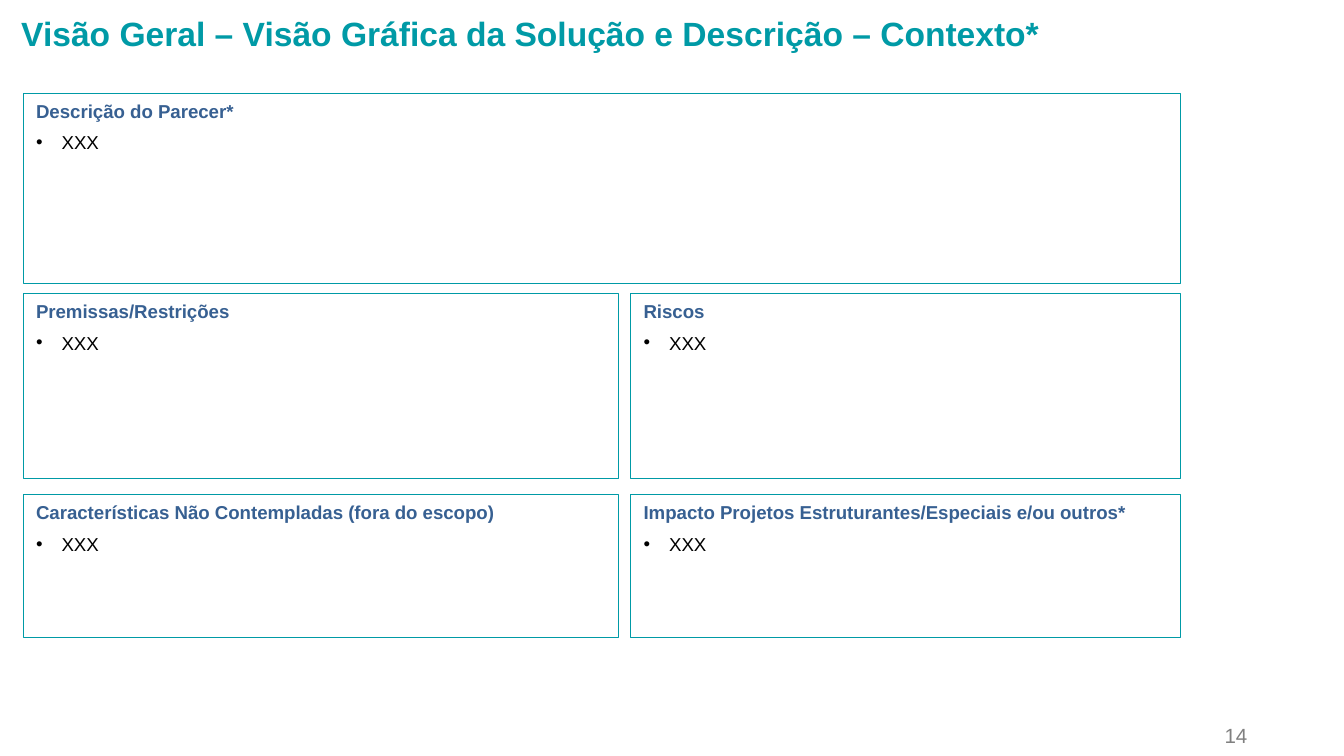
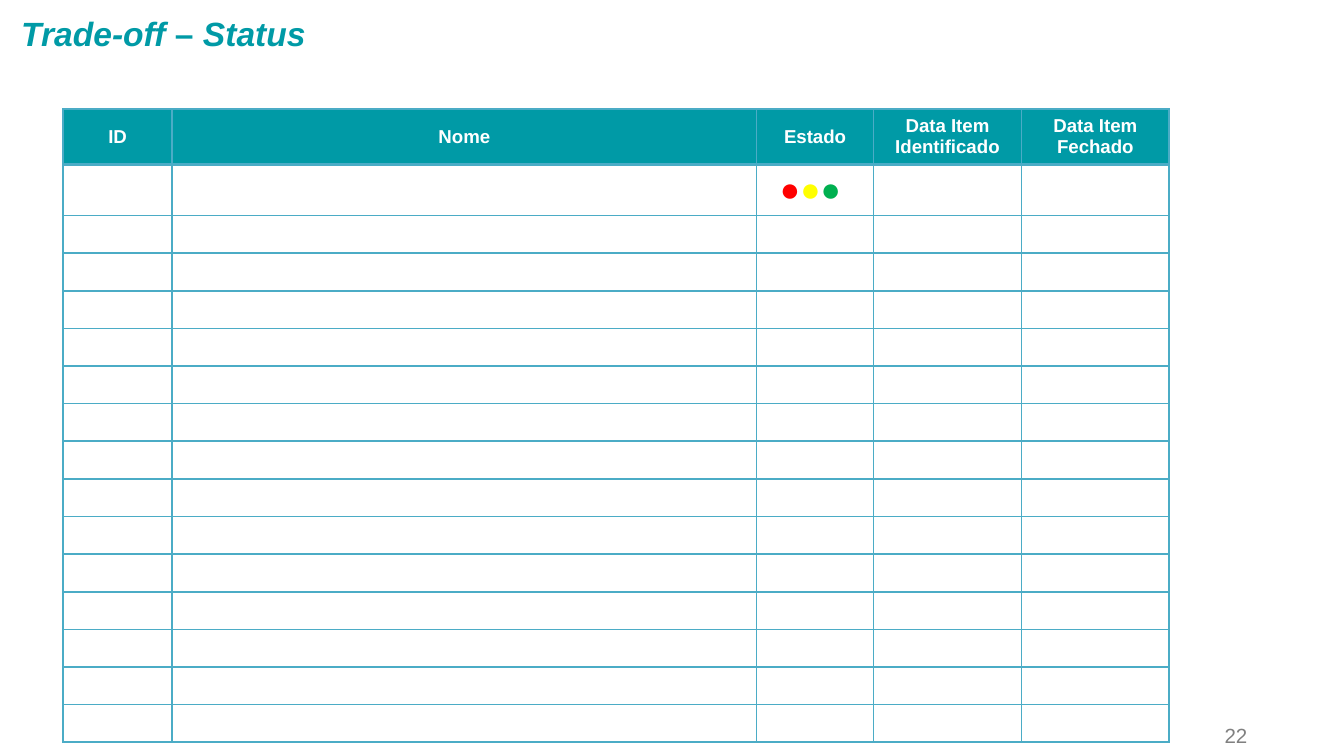
"""Build the context overview slide and the trade-off status slide."""
from dataclasses import dataclass

from lxml import etree
from pptx import Presentation
from pptx.dml.color import RGBColor
from pptx.enum.shapes import MSO_SHAPE
from pptx.enum.text import MSO_ANCHOR, PP_ALIGN
from pptx.oxml.ns import qn
from pptx.util import Inches, Pt

RECTANGLE = MSO_SHAPE.RECTANGLE
TOP, MIDDLE = MSO_ANCHOR.TOP, MSO_ANCHOR.MIDDLE
LEFT, CENTER, RIGHT = PP_ALIGN.LEFT, PP_ALIGN.CENTER, PP_ALIGN.RIGHT

FONT = "Arial"
TEAL, NAVY, GRID = "009AA6", "376092", "4BACC6"
BLACK, WHITE, GREY = "000000", "FFFFFF", "808080"
RED, YELLOW, GREEN = "FF0000", "FFFF00", "00B050"
BODY_SIZE, EMPTY_CELL_SIZE = 10, 12


@dataclass(frozen=True)
class Panel:
    heading: str
    left: float
    top: float
    width: float
    height: float


@dataclass(frozen=True)
class Column:
    heading: str
    width: float


LEFT_X, RIGHT_X = 0.17, 4.69
LEFT_W, RIGHT_W = 4.43, 4.09
MIDDLE_Y, MIDDLE_H = 2.18, 1.38
BOTTOM_Y, BOTTOM_H = 3.68, 1.06

PANELS = [
    Panel("Descrição do Parecer*", LEFT_X, 0.69, RIGHT_X + RIGHT_W - LEFT_X, 1.42),
    Panel("Características Não Contempladas (fora do escopo)",
          LEFT_X, BOTTOM_Y, LEFT_W, BOTTOM_H),
    Panel("Premissas/Restrições", LEFT_X, MIDDLE_Y, LEFT_W, MIDDLE_H),
    Panel("Riscos", RIGHT_X, MIDDLE_Y, RIGHT_W, MIDDLE_H),
    Panel("Impacto Projetos Estruturantes/Especiais e/ou outros*",
          RIGHT_X, BOTTOM_Y, RIGHT_W, BOTTOM_H),
]

COLUMNS = [
    Column("ID", 0.81),
    Column("Nome", 4.35),
    Column("Estado", 0.87),
    Column("Data Item Identificado", 1.1),
    Column("Data Item Fechado", 1.1),
]
STATUS_COLUMN = 2
ROW_HEIGHTS = [0.15] * 3 + [0.24] + [0.15] * 12
TABLE_HEIGHT = 4.57
CELL_MARGIN = 0.04
STATUS_LIGHTS = [("●", RED), ("●", YELLOW), ("● ", GREEN)]


def rgb(value: str) -> RGBColor:
    """Turn a hex string into a colour."""
    return RGBColor.from_string(value)


def add_text(p, text: str, *, size: float = BODY_SIZE, color: str = BLACK,
             bold: bool = False, italic: bool = False) -> None:
    """Append a formatted run to a paragraph."""
    r = p.add_run()
    r.text = text
    r.font.name = FONT
    r.font.size = Pt(size)
    r.font.bold = bold
    r.font.italic = italic
    r.font.color.rgb = rgb(color)


def add_box(s, left: float, top: float, width: float, height: float,
            anchor: MSO_ANCHOR = TOP):
    """Add a wrapping text box and return its first paragraph."""
    sp = s.shapes.add_textbox(Inches(left), Inches(top), Inches(width), Inches(height))
    tf = sp.text_frame
    tf.word_wrap = True
    tf.vertical_anchor = anchor
    return tf.paragraphs[0]


def add_frame(prs, title: list[tuple[str, bool]], number: str):
    """Add a blank slide with its title and page number."""
    s = prs.slides.add_slide(prs.slide_layouts[6])
    p = add_box(s, 0.06, 0.05, 8.8, 0.4)
    for text, italic in title:
        add_text(p, text, size=18, color=TEAL, bold=True, italic=italic)
    p = add_box(s, 8.46, 5.34, 0.92, 0.29, MIDDLE)
    p.alignment = RIGHT
    p.line_spacing = 0.8
    add_text(p, number, size=11, color=GREY)
    return s


def set_bullet(p, indent: float) -> None:
    """Give a paragraph a hanging bullet."""
    pPr = p._p.get_or_add_pPr()
    pPr.set("marL", str(Inches(indent)))
    pPr.set("indent", str(-Inches(indent)))
    etree.SubElement(pPr, qn("a:buFont"), typeface=FONT)
    etree.SubElement(pPr, qn("a:buChar"), char="•")


def add_panel(s, panel: Panel) -> None:
    """Draw an outlined panel with a heading and one bullet."""
    sp = s.shapes.add_shape(RECTANGLE, Inches(panel.left), Inches(panel.top),
                            Inches(panel.width), Inches(panel.height))
    sp.shadow.inherit = False
    sp.fill.background()
    sp.line.color.rgb = rgb(TEAL)
    sp.line.width = Pt(0.25)
    tf = sp.text_frame
    tf.word_wrap = True
    tf.vertical_anchor = TOP
    p = tf.paragraphs[0]
    p.alignment = LEFT
    add_text(p, panel.heading, color=NAVY, bold=True)
    p = tf.add_paragraph()
    p.alignment = LEFT
    p.space_before = Pt(5)
    set_bullet(p, 0.19)
    add_text(p, "XXX")


def set_borders(cell, bottom: float) -> None:
    """Draw the four borders of a cell."""
    tcPr = cell._tc.get_or_add_tcPr()
    for side, width in (("L", 1), ("R", 1), ("T", 1), ("B", bottom)):
        ln = etree.SubElement(tcPr, qn(f"a:ln{side}"), w=str(Pt(width)))
        fill = etree.SubElement(ln, qn("a:solidFill"))
        etree.SubElement(fill, qn("a:srgbClr"), val=GRID)


def add_status_table(s) -> None:
    """Add the status table with its header and status lights."""
    width = sum(column.width for column in COLUMNS)
    frame = s.shapes.add_table(len(ROW_HEIGHTS), len(COLUMNS), Inches(0.47), Inches(0.81),
                               Inches(width), Inches(TABLE_HEIGHT))
    table = frame.table
    table.horz_banding = False
    for i, column in enumerate(COLUMNS):
        table.columns[i].width = Inches(column.width)
    for j, height in enumerate(ROW_HEIGHTS):
        table.rows[j].height = Inches(height)
        for i, column in enumerate(COLUMNS):
            cell = table.cell(j, i)
            cell.vertical_anchor = MIDDLE
            cell.margin_top = cell.margin_bottom = Inches(CELL_MARGIN)
            set_borders(cell, 2 if j == 0 else 1)
            p = cell.text_frame.paragraphs[0]
            p.alignment = CENTER
            if j == 0:
                cell.fill.solid()
                cell.fill.fore_color.rgb = rgb(TEAL)
                add_text(p, column.heading, color=WHITE, bold=True)
                continue
            cell.fill.background()
            if (j, i) == (1, STATUS_COLUMN):
                for light, color in STATUS_LIGHTS:
                    add_text(p, light, size=18, color=color)
            else:
                etree.SubElement(p._p, qn("a:endParaRPr"), sz=str(EMPTY_CELL_SIZE * 100))
    frame.height = Inches(TABLE_HEIGHT)


def main() -> None:
    """Build and save the presentation."""
    prs = Presentation()
    prs.slide_width = Inches(10)
    prs.slide_height = prs.slide_width * 9 // 16
    s = add_frame(prs, [("Visão Geral – Visão Gráfica da Solução e Descrição – Contexto*",
                         False)], "14")
    for panel in PANELS:
        add_panel(s, panel)
    s = add_frame(prs, [("Trade-off ", True), ("– ", False), ("Status", True)], "22")
    add_status_table(s)
    prs.save("out.pptx")


if __name__ == "__main__":
    main()
